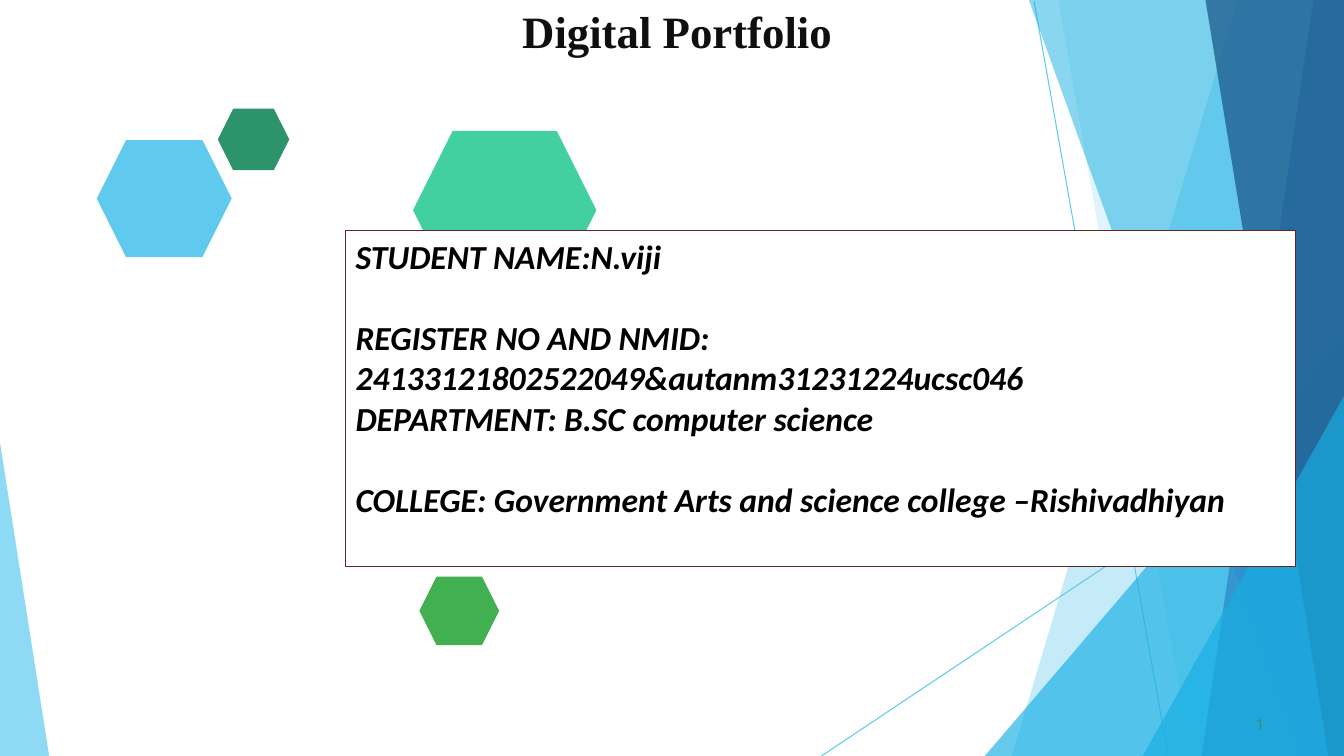
import pptx
import pptx.util
import pptx.dml.color
import pptx.enum.shapes
import pptx.enum.text
import pptx.oxml.ns
from lxml import etree

Cm, Pt = pptx.util.Cm, pptx.util.Pt
RGBColor = pptx.dml.color.RGBColor
SHAPE = pptx.enum.shapes.MSO_SHAPE
qn = pptx.oxml.ns.qn

WHITE = RGBColor(0xFF, 0xFF, 0xFF)
BLACK = RGBColor(0x00, 0x00, 0x00)
INK = RGBColor(0x0F, 0x0F, 0x0F)
SKY = RGBColor(0x5F, 0xCA, 0xEE)
CYAN = RGBColor(0x17, 0xAF, 0xE3)
BLUE = RGBColor(0x2D, 0x83, 0xC3)
NAVY = RGBColor(0x22, 0x61, 0x92)
TEAL = RGBColor(0x2D, 0x93, 0x6B)
MINT = RGBColor(0x42, 0xD0, 0xA1)
GREEN = RGBColor(0x42, 0xAF, 0x51)
MAROON = RGBColor(0x63, 0x25, 0x23)

W, H = 33.87, 19.05  # slide size in cm


class Canvas:
    def __init__(self, slide):
        self.shapes = slide.shapes

    def paint(self, sp, color, opacity=100):
        sp.shadow.inherit = False
        sp.line.fill.background()
        sp.fill.solid()
        sp.fill.fore_color.rgb = color
        if opacity < 100:
            clr = sp._element.spPr.find(qn("a:solidFill"))[0]
            etree.SubElement(clr, qn("a:alpha"), val=str(opacity * 1000))
        return sp

    def line(self, x1, y1, x2, y2):
        cn = self.shapes.add_connector(
            pptx.enum.shapes.MSO_CONNECTOR.STRAIGHT, Cm(x1), Cm(y1), Cm(x2), Cm(y2))
        cn.line.color.rgb = SKY
        cn.line.width = Pt(0.75)
        etree.SubElement(cn._element.spPr, qn("a:effectLst"))

    def polygon(self, points, color, opacity):
        start, *rest = [(Cm(x), Cm(y)) for x, y in points]
        fb = self.shapes.build_freeform(*start)
        fb.add_line_segments(rest, close=True)
        self.paint(fb.convert_to_shape(), color, opacity)

    def shape(self, kind, x, y, w, h, color):
        return self.paint(self.shapes.add_shape(kind, Cm(x), Cm(y), Cm(w), Cm(h)), color)

    def frame(self, sp, left, top):
        tf = sp.text_frame
        tf.word_wrap = True
        tf.vertical_anchor = pptx.enum.text.MSO_ANCHOR.TOP
        tf.margin_left = tf.margin_right = Cm(left)
        tf.margin_top = tf.margin_bottom = Cm(top)
        return tf

    def add_text(self, p, text, font, size, color, bold=False, italic=False, before=0):
        p.alignment = pptx.enum.text.PP_ALIGN.LEFT
        p.space_before = Pt(before)
        r = p.add_run()
        r.text = text
        r.font.name, r.font.size = font, Pt(size)
        r.font.bold, r.font.italic = bold, italic
        r.font.color.rgb = color

    def label(self, x, y, w, h, top, text, font, size, color, **style):
        tb = self.shapes.add_textbox(Cm(x), Cm(y), Cm(w), Cm(h))
        tf = self.frame(tb, 0, top)
        self.add_text(tf.paragraphs[0], text, font, size, color, **style)


def main():
    prs = pptx.Presentation()
    prs.slide_width, prs.slide_height = Cm(W), Cm(H)
    s = prs.slides.add_slide(prs.slide_layouts[6])
    canvas = Canvas(s)

    # Thin crossing lines
    canvas.line(26.06, 0.03, 29.44, H)
    canvas.line(W, 10.26, 20.7, H)

    # Translucent bands on the right: top edge x, bottom edge x
    def band(top_x, bottom_x, color, opacity):
        canvas.polygon([(W, 0), (top_x, 0), (bottom_x, H), (W, H)], color, opacity)

    # Corner wedges: height on the right edge, bottom edge x
    def wedge(right_y, bottom_x, opacity):
        canvas.polygon([(W, right_y), (bottom_x, H), (W, H)], CYAN, opacity)

    band(31.19, 25.5, SKY, 36)
    band(26.67, 30.02, SKY, 20)
    wedge(8.46, 24.82, 66)
    band(25.93, 32.79, CYAN, 50)
    band(33.1, 30.28, BLUE, 70)
    band(30.38, 33.48, NAVY, 80)
    wedge(9.98, 28.8, 66)

    # Left corner sliver
    canvas.polygon([(0, 11.15), (0, H), (1.24, H)], SKY, 70)

    # Hexagons
    for x, y, w, h, color in [
        (2.44, 3.53, 3.4, 2.95, SKY),
        (5.49, 2.74, 1.8, 1.55, TEAL),
        (10.41, 3.3, 4.62, 3.99, MINT),
        (10.57, 14.53, 2.01, 1.73, GREEN),
    ]:
        canvas.shape(SHAPE.HEXAGON, x, y, w, h, color)

    # Title and slide number
    canvas.label(13.16, 0.05, 12.27, 2.79, 0.05, "Digital Portfolio",
                 "Times New Roman", 32, INK, bold=True, before=1.3)
    canvas.label(31.65, 17.98, 0.5, 0.53, 0.03, "1", "Roboto", 11, TEAL, before=0.6)

    # Student details
    card = canvas.shape(SHAPE.RECTANGLE, 8.71, 5.82, 23.93, 8.46, WHITE)
    card.line.color.rgb = MAROON
    card.line.width = Pt(0.75)
    tf = canvas.frame(card, 0.25, 0.13)
    details = [
        ("STUDENT NAME:N.viji", 0),
        ("REGISTER NO AND NMID: 24133121802522049&autanm31231224ucsc046", 29),
        ("DEPARTMENT: B.SC computer science", 0),
        ("COLLEGE: Government Arts and science college –Rishivadhiyan", 29),
    ]
    for i, (text, before) in enumerate(details):
        p = tf.add_paragraph() if i else tf.paragraphs[0]
        canvas.add_text(p, text, "Calibri", 24, BLACK, bold=True, italic=True, before=before)

    prs.save("out.pptx")


if __name__ == "__main__":
    main()
